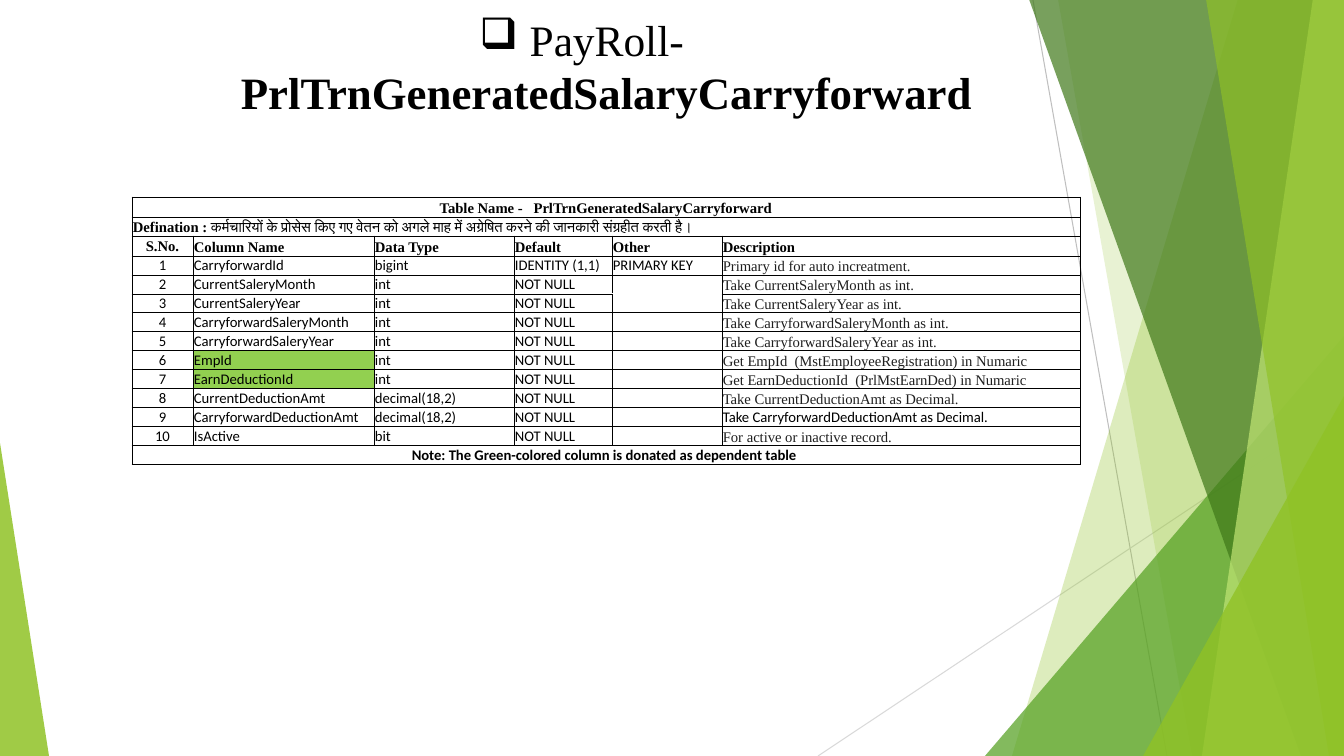
"""Build the slide describing the PrlTrnGeneratedSalaryCarryforward payroll table."""
from lxml.etree import SubElement
from pptx import Presentation
from pptx.dml.color import RGBColor
from pptx.enum.shapes import MSO_CONNECTOR, MSO_SHAPE
from pptx.enum.text import MSO_ANCHOR as Anchor, MSO_AUTO_SIZE, PP_ALIGN as Align
from pptx.oxml.ns import qn
from pptx.util import Pt

PX = 914400 / 100.8
WIDTH, HEIGHT = 1344, 756
SERIF, SANS, HINDI = "Times New Roman", "Calibri", "Cabin"
COLORS = {
    "black": "000000", "ink": "1F1F1F", "highlight": "92D050",
    "gray": "BFBFBF", "pale gray": "D9D9D9",
    "lime": "90C226", "green": "54A021", "forest": "3F7819", "mint": "C0E474",
}

TITLE = [("PayRoll-", 31, False), ("PrlTrnGeneratedSalaryCarryforward", 32, True)]
CAPTION = "Table Name -   PrlTrnGeneratedSalaryCarryforward"
DEFINITION = [
    ("Defination : ", SERIF, True),
    ("कर्मचारियों के प्रोसेस किए गए वेतन को अगले माह में अग्रेषित करने की जानकारी संग्रहीत करती है।", HINDI, False),
]
HEADINGS = ["S.No.", "Column Name", "Data Type", "Default", "Other", "Description"]
FIELDS = [
    ("CarryforwardId", "bigint", "IDENTITY (1,1)", "PRIMARY KEY", "Primary id for auto increatment."),
    ("CurrentSaleryMonth", "int", "NOT NULL", "", "Take CurrentSaleryMonth as int."),
    ("CurrentSaleryYear", "int", "NOT NULL", "", "Take CurrentSaleryYear as int."),
    ("CarryforwardSaleryMonth", "int", "NOT NULL", "", "Take CarryforwardSaleryMonth as int."),
    ("CarryforwardSaleryYear", "int", "NOT NULL", "", "Take CarryforwardSaleryYear as int."),
    ("EmpId", "int", "NOT NULL", "", "Get EmpId  (MstEmployeeRegistration) in Numaric"),
    ("EarnDeductionId", "int", "NOT NULL", "", "Get EarnDeductionId  (PrlMstEarnDed) in Numaric"),
    ("CurrentDeductionAmt", "decimal(18,2)", "NOT NULL", "", "Take CurrentDeductionAmt as Decimal."),
    ("CarryforwardDeductionAmt", "decimal(18,2)", "NOT NULL", "", "Take CarryforwardDeductionAmt as Decimal."),
    ("IsActive", "bit", "NOT NULL", "", "For active or inactive record."),
]
NOTE = "Note: The Green-colored column is donated as dependent table "
DEPENDENT = {"EmpId", "EarnDeductionId"}
SANS_DESCRIPTIONS = {"CarryforwardDeductionAmt"}
COLUMN_WIDTHS = [61, 181, 140, 98, 110, 358]
ROW_HEIGHTS = [20, 19, 20] + [19] * (len(FIELDS) + 1)
OTHER = HEADINGS.index("Other")
OPEN_EDGES = {(4, OTHER): "B", (5, OTHER): "T"}

RAYS = [((1033, 0), (1167, 756), "gray"), ((1344, 406), (818, 756), "pale gray")]
FACETS = [
    ("band", (1238, 1012), "lime", 30),
    ("band", (1058, 1192), "lime", 20),
    ("wedge", (985, 336, 359, 420, 1), "green", 72),
    ("band", (1029, 1301), "forest", 70),
    ("band", (1313, 1202), "mint", 70),
    ("band", (1206, 1329), "lime", 65),
    ("wedge", (1143, 396, 201, 360, 1), "lime", 80),
    ("wedge", (0, 443, 49, 313, 0), "lime", 85),
]


def px(*lengths):
    return [round(length * PX) for length in lengths]


def rgb(name):
    return RGBColor.from_string(COLORS[name])


def draw_ray(shapes, start, end, color):
    ray = shapes.add_connector(MSO_CONNECTOR.STRAIGHT, *px(*start, *end))
    ray.line.color.rgb = rgb(color)
    ray.line.width = Pt(0.75)
    SubElement(ray._element.spPr, qn("a:effectLst"))


def draw_facet(shapes, kind, geometry, color, opacity):
    if kind == "band":
        top_x, bottom_x = geometry
        outline = shapes.build_freeform(top_x, -1, scale=PX)
        outline.add_line_segments([(WIDTH, -1), (WIDTH, HEIGHT), (bottom_x, HEIGHT)])
        facet = outline.convert_to_shape()
    else:
        *frame, apex = geometry
        facet = shapes.add_shape(MSO_SHAPE.ISOSCELES_TRIANGLE, *px(*frame))
        facet.adjustments[0] = apex
    facet.shadow.inherit = False
    facet.line.fill.background()
    facet.fill.solid()
    facet.fill.fore_color.rgb = rgb(color)
    tint = facet._element.spPr.find(qn("a:solidFill"))[0]
    SubElement(tint, qn("a:alpha"), val=str(opacity * 1000))


def write_title(title):
    title.left, title.top, title.width, title.height = px(164, 8, 835, 117)
    frame = title.text_frame
    frame.word_wrap = True
    frame.auto_size = MSO_AUTO_SIZE.SHAPE_TO_FIT_TEXT
    frame.vertical_anchor = Anchor.TOP
    heading = frame.paragraphs[0]
    properties = heading._p.get_or_add_pPr()
    properties.set("marL", "457200")
    properties.set("indent", "-457200")
    SubElement(properties, qn("a:buChar"), char="❑")
    heading.alignment = Align.CENTER
    heading.font.name = SERIF
    heading.font.color.rgb = rgb("black")
    for words, size, bold in TITLE:
        run = heading.add_run()
        run.text = words
        run.font.size = Pt(size)
        run.font.bold = bold


def frame_cell(cell, open_edge):
    cell.margin_left = cell.margin_right = cell.margin_top = px(1)[0]
    cell.margin_bottom = 0
    properties = cell._tc.get_or_add_tcPr()
    for edge in "LRTB":
        if edge != open_edge:
            border = SubElement(properties, qn("a:ln" + edge), w=str(Pt(0.5)))
            ink = SubElement(border, qn("a:solidFill"))
            SubElement(ink, qn("a:srgbClr"), val=COLORS["black"])


def write_cell(cell, runs, centered, color):
    paragraph = cell.text_frame.paragraphs[0]
    paragraph.alignment = Align.CENTER if centered else Align.LEFT
    paragraph.font.size = Pt(10.5)
    paragraph.font.color.rgb = rgb(color)
    for words, face, bold in runs:
        run = paragraph.add_run()
        run.text = words
        run.font.name = face
        run.font.bold = bold
    if not runs:
        SubElement(paragraph._p, qn("a:endParaRPr"), sz="1050")


def field_runs(number, field):
    faces = [SANS] * 5 + [SANS if field[0] in SANS_DESCRIPTIONS else SERIF]
    return [[(words, face, False)] if words else []
            for words, face in zip((str(number), *field), faces)]


def draw_table(shapes):
    blank = [[]] * (len(HEADINGS) - 1)
    rows = [[[(CAPTION, SERIF, True)], *blank], [DEFINITION, *blank]]
    rows.append([[(words, SERIF, True)] for words in HEADINGS])
    rows += [field_runs(number, field) for number, field in enumerate(FIELDS, 1)]
    rows.append([[(NOTE, SANS, True)], *blank])
    frame = px(132, 197, sum(COLUMN_WIDTHS), sum(ROW_HEIGHTS))
    table = shapes.add_table(len(rows), len(HEADINGS), *frame).table
    table.first_row = table.horz_banding = False
    for column, width in zip(table.columns, px(*COLUMN_WIDTHS)):
        column.width = width
    for row, height in zip(table.rows, px(*ROW_HEIGHTS)):
        row.height = height

    last = len(rows) - 1
    spanning = (0, 1, last)
    for r, row in enumerate(rows):
        for c, runs in enumerate(row):
            cell = table.cell(r, c)
            frame_cell(cell, OPEN_EDGES.get((r, c)))
            numbered = c == 0 and r not in spanning
            cell.vertical_anchor = Anchor.MIDDLE if numbered else Anchor.BOTTOM
            described = c == 5 and runs and runs[0][1:] == (SERIF, False)
            write_cell(cell, runs, c == 0 and r != 1, "ink" if described else "black")
            if runs and runs[0][0] in DEPENDENT:
                cell.fill.solid()
                cell.fill.fore_color.rgb = rgb("highlight")
            else:
                cell.fill.background()
    for r in spanning:
        table.cell(r, 0).merge(table.cell(r, len(HEADINGS) - 1))


def main():
    deck = Presentation()
    deck.slide_width, deck.slide_height = px(WIDTH, HEIGHT)
    slide = deck.slides.add_slide(deck.slide_layouts[5])
    for ray in RAYS:
        draw_ray(slide.shapes, *ray)
    for facet in FACETS:
        draw_facet(slide.shapes, *facet)
    write_title(slide.shapes.title)
    draw_table(slide.shapes)
    deck.save("out.pptx")


if __name__ == "__main__":
    main()
